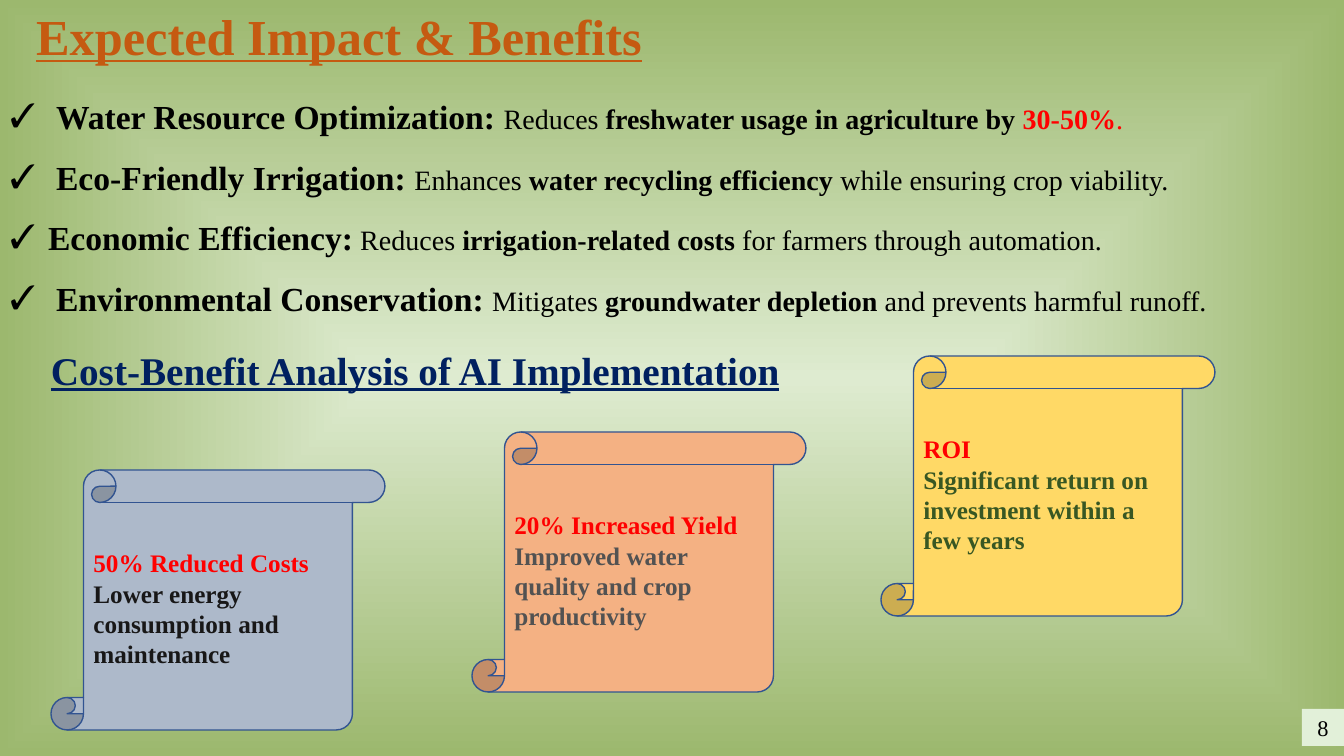
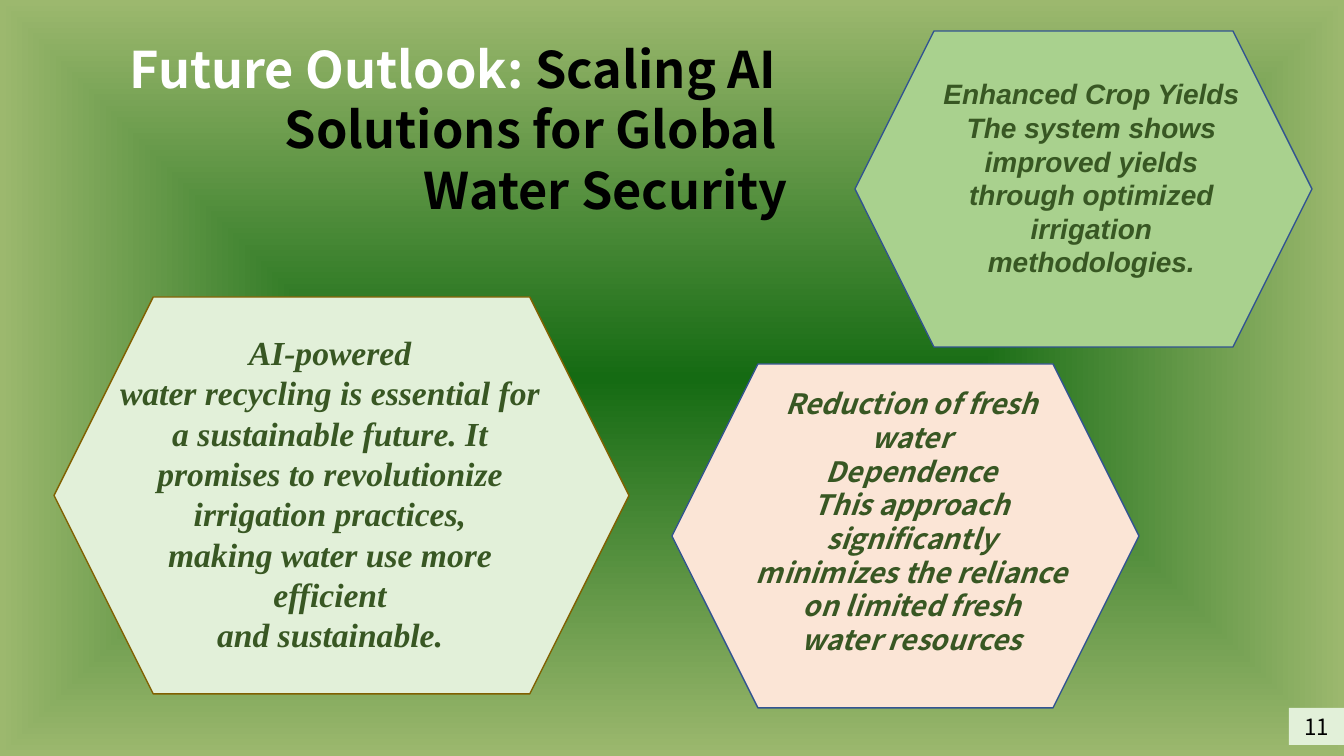
from dataclasses import dataclass

from pptx import Presentation
from pptx.dml.color import RGBColor
from pptx.enum.shapes import MSO_SHAPE as Shape
from pptx.enum.text import MSO_ANCHOR as Anchor, MSO_AUTO_SIZE as AutoSize, PP_ALIGN as Align
from pptx.oxml import parse_xml
from pptx.oxml.ns import nsdecls, qn
from pptx.util import Emu, Pt

PX = 12192000 / 1344
PAGE_WIDTH, PAGE_HEIGHT = 1344, 756


@dataclass(frozen=True)
class Theme:
    serif: str = "Times New Roman"
    sans: str = "Arial"
    cjk: str = "Noto Sans CJK JP"
    edge: str = "9CB86E"
    pale: str = "DEEBD0"
    forest: str = "156B13"
    mint: str = "E2F0D9"
    outline: str = "325491"
    olive: str = "806000"
    dark_green: str = "385723"
    rust: str = "C55A11"
    navy: str = "002060"
    red: str = "FF0000"
    black: str = "000000"
    white: str = "FFFFFF"
    title: int = 36
    heading: int = 28
    lead: int = 24
    body: int = 20
    card: int = 18
    number: int = 16
    leading: float = 1.2
    list_leading: float = 1.8


T = Theme()
BOLD = {"bold": True}
RED = {"color": T.red}
LEAD = {"size": T.lead, "bold": True}

IMPACT_TITLE = [[("Expected Impact & Benefits", {})]]
BENEFITS = [  # text indent, runs
    (46, [("Water Resource Optimization: ", LEAD), ("Reduces ", {}),
          ("freshwater usage in agriculture by ", BOLD), ("30-50%", BOLD | RED), (".", RED)]),
    (46, [("Eco-Friendly Irrigation: ", LEAD), ("Enhances ", {}),
          ("water recycling efficiency", BOLD), (" while ensuring crop viability.", {})]),
    (38, [("Economic Efficiency:", LEAD), (" Reduces ", {}),
          ("irrigation-related costs", BOLD), (" for farmers through automation.", {})]),
    (46, [("Environmental Conservation: ", LEAD), ("Mitigates ", {}),
          ("groundwater depletion", BOLD), (" and prevents harmful runoff.", {})]),
]
COST_HEADING = [[("Cost-Benefit Analysis of AI Implementation", {})]]
SCROLL_SIZE = (334, 260)
SCROLLS = [  # left, top, fill, text colour, heading, text
    (51, 470, "ADB9CA", "181717", "50% Reduced Costs",
     "Lower energy consumption and maintenance"),
    (881, 356, "FFD966", T.dark_green, "ROI",
     "Significant return on investment within a few years"),
    (472, 432, "F4B183", "525252", "20% Increased Yield",
     "Improved water quality and crop productivity"),
]

OUTLOOK_TITLE = [
    [("Future Outlook: ", {"color": T.white}), ("Scaling AI ", {})],
    [("Solutions for Global ", {})],
    [("Water Security", {})],
]
HEXAGONS = [  # hexagon box, fill, line, text box, font, size, lines
    ((54, 297, 575, 397), T.mint, T.olive, (100, 327, 460, 337), T.serif, T.lead,
     ["AI-powered",
      "water recycling is essential for a sustainable future. "
      "It promises to revolutionize irrigation practices,",
      "making water use more efficient",
      "and sustainable."]),
    ((855, 31, 457, 316), "A9D18E", T.outline, (933, 72, 317, 214), T.sans, T.body,
     ["Enhanced Crop Yields",
      "The system shows improved yields through optimized irrigation methodologies."]),
    ((672, 364, 467, 344), "FBE5D6", T.outline, (740, 382, 343, 281), T.cjk, T.body,
     ["Reduction of fresh water",
      "Dependence",
      "This approach significantly",
      "minimizes the reliance on limited fresh",
      "water resources"]),
]


def px(value):
    return Emu(round(value * PX))


def place(shape, box):
    for side, value in zip(("left", "top", "width", "height"), box):
        setattr(shape, side, px(value))


def set_background(slide, stops):
    """Fill the background with a gradient running from the centre to the edges."""
    slide.background.fill.gradient()
    default = slide.element.find(".//" + qn("a:gradFill"))
    marks = "".join(f'<a:gs pos="{position * 1000}"><a:srgbClr val="{color}"/></a:gs>'
                    for position, color in stops)
    default.getparent().replace(default, parse_xml(
        f'<a:gradFill {nsdecls("a")} rotWithShape="1"><a:gsLst>{marks}</a:gsLst>'
        '<a:path path="shape"><a:fillToRect l="50000" t="50000" r="50000" b="50000"/></a:path>'
        '</a:gradFill>'))


def format_font(font, style):
    values = dict(style)
    font.color.rgb = RGBColor.from_string(values.pop("color"))
    font.size = Pt(values.pop("size"))
    for name, value in values.items():
        setattr(font, name, value)


def write(shape, paragraphs, style, align=Align.LEFT, anchor=Anchor.TOP, spacing=None):
    """Write paragraphs of (text, changes to style) runs; spacing is the line pitch in points."""
    frame = shape.text_frame
    frame.word_wrap = True
    frame.auto_size = AutoSize.NONE
    frame.vertical_anchor = anchor
    for index, runs in enumerate(paragraphs):
        para = frame.paragraphs[0] if index == 0 else frame.add_paragraph()
        para.alignment = align
        para.space_before = para.space_after = Pt(0)
        para.line_spacing = Pt(round(spacing or style["size"] * T.leading, 1))
        for text, changes in runs:
            span = para.add_run()
            span.text = text
            format_font(span.font, style | changes)


def add_check(para, indent):
    """Hang the paragraph from a check mark."""
    properties = para._p.get_or_add_pPr()
    properties.set("marL", str(px(indent)))
    properties.set("indent", str(-px(indent)))
    properties.append(parse_xml(f'<a:buFont {nsdecls("a")} typeface="{T.serif}"/>'))
    properties.append(parse_xml(f'<a:buChar {nsdecls("a")} char="✓"/>'))


def add_panel(slide, kind, box, fill, line=None):
    panel = slide.shapes.add_shape(kind, *map(px, box))
    panel.shadow.inherit = False
    panel.fill.solid()
    panel.fill.fore_color.rgb = RGBColor.from_string(fill)
    if line:
        panel.line.color.rgb = RGBColor.from_string(line)
        panel.line.width = Pt(1)
    else:
        panel.line.fill.background()
    return panel


def add_text(slide, box, paragraphs, style, **options):
    write(slide.shapes.add_textbox(*map(px, box)), paragraphs, style, **options)


def add_page_number(slide, number, font, width, top):
    tag = add_panel(slide, Shape.RECTANGLE, (PAGE_WIDTH - width, top, width, 37), T.mint)
    write(tag, [[(number, {})]], {"name": font, "size": T.number, "color": T.black},
          Align.CENTER)


def new_slide(deck, layout, stops, title_box, title, title_style, align):
    slide = deck.slides.add_slide(deck.slide_layouts[layout])
    set_background(slide, stops)
    place(slide.shapes.title, title_box)
    write(slide.shapes.title, title, {"size": T.title, "bold": True} | title_style, align)
    return slide


def build_impact(deck):
    slide = new_slide(deck, 1, [(0, T.pale), (100, T.edge)], (26, 0, 1300, 70), IMPACT_TITLE,
                      {"name": T.serif, "color": T.rust, "underline": True}, Align.LEFT)
    benefits = slide.placeholders[1]
    place(benefits, (0, 71, PAGE_WIDTH, 254))
    write(benefits, [runs for _, runs in BENEFITS],
          {"name": T.serif, "size": T.body, "color": T.black, "bold": False},
          spacing=T.lead * T.list_leading)
    for para, (indent, _) in zip(benefits.text_frame.paragraphs, BENEFITS):
        add_check(para, indent)
    for left, top, fill, color, heading, text in SCROLLS:
        scroll = add_panel(slide, Shape.VERTICAL_SCROLL, (left, top, *SCROLL_SIZE),
                           fill, T.outline)
        write(scroll, [[(heading, RED)], [(text, {})]],
              {"name": T.serif, "size": T.card, "color": color, "bold": True},
              anchor=Anchor.MIDDLE)
    add_text(slide, (41, 341, 807, 99), COST_HEADING,
             {"name": T.serif, "size": T.heading, "color": T.navy,
              "bold": True, "underline": True})
    add_page_number(slide, "8", T.serif, 42, 709)


def build_outlook(deck):
    slide = new_slide(deck, 5, [(0, T.pale), (0, T.forest), (100, T.edge)],
                      (38, 33, 760, 194), OUTLOOK_TITLE,
                      {"name": T.cjk, "color": T.black}, Align.RIGHT)
    for box, fill, line, text_box, font, size, lines in HEXAGONS:
        add_panel(slide, Shape.HEXAGON, box, fill, line)
        add_text(slide, text_box, [[(text, {})] for text in lines],
                 {"name": font, "size": size, "color": T.dark_green,
                  "bold": True, "italic": True}, align=Align.CENTER)
    add_page_number(slide, "11", T.cjk, 55, 708)


def main():
    deck = Presentation()
    deck.slide_width, deck.slide_height = px(PAGE_WIDTH), px(PAGE_HEIGHT)
    build_impact(deck)
    build_outlook(deck)
    deck.save("out.pptx")


if __name__ == "__main__":
    main()
